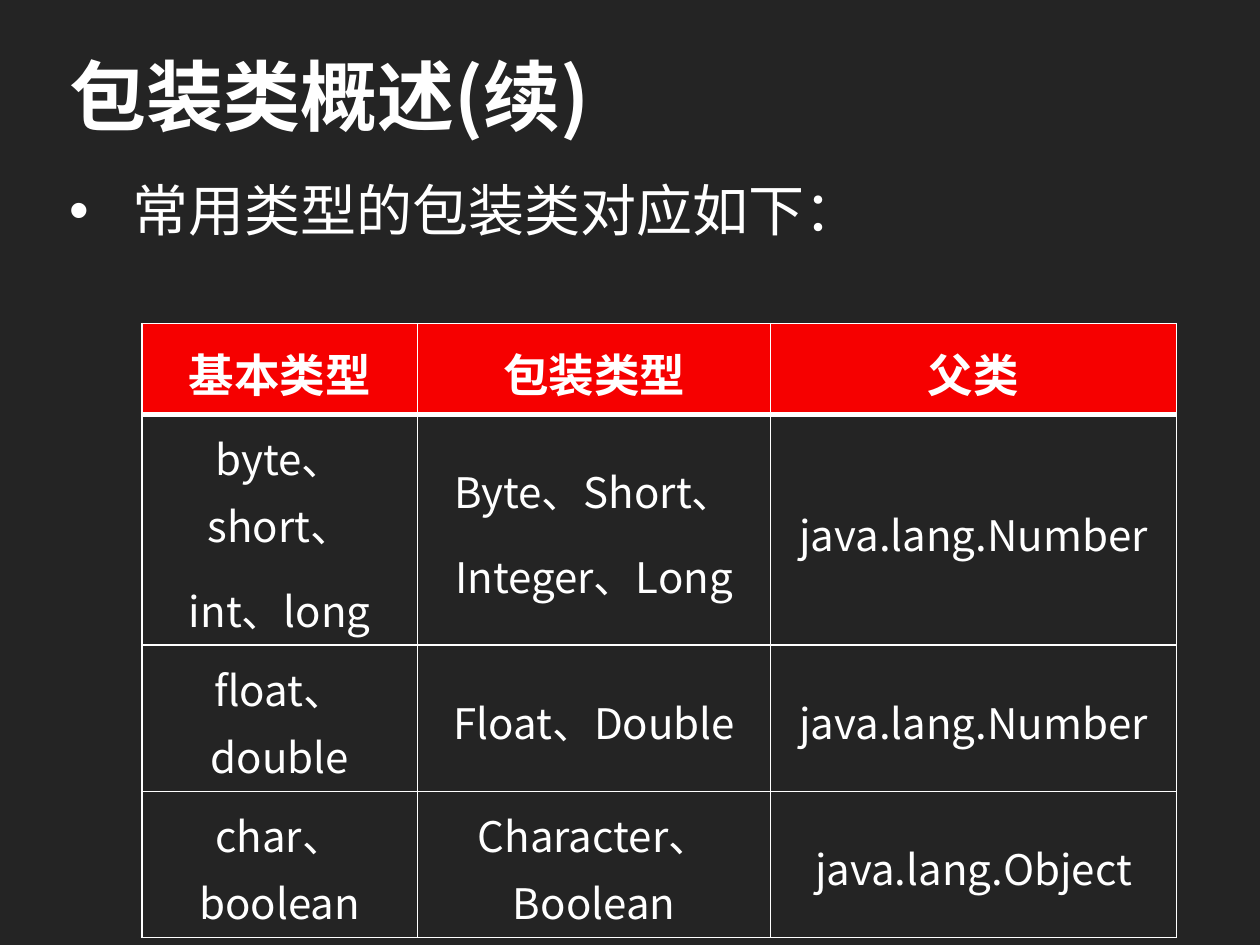
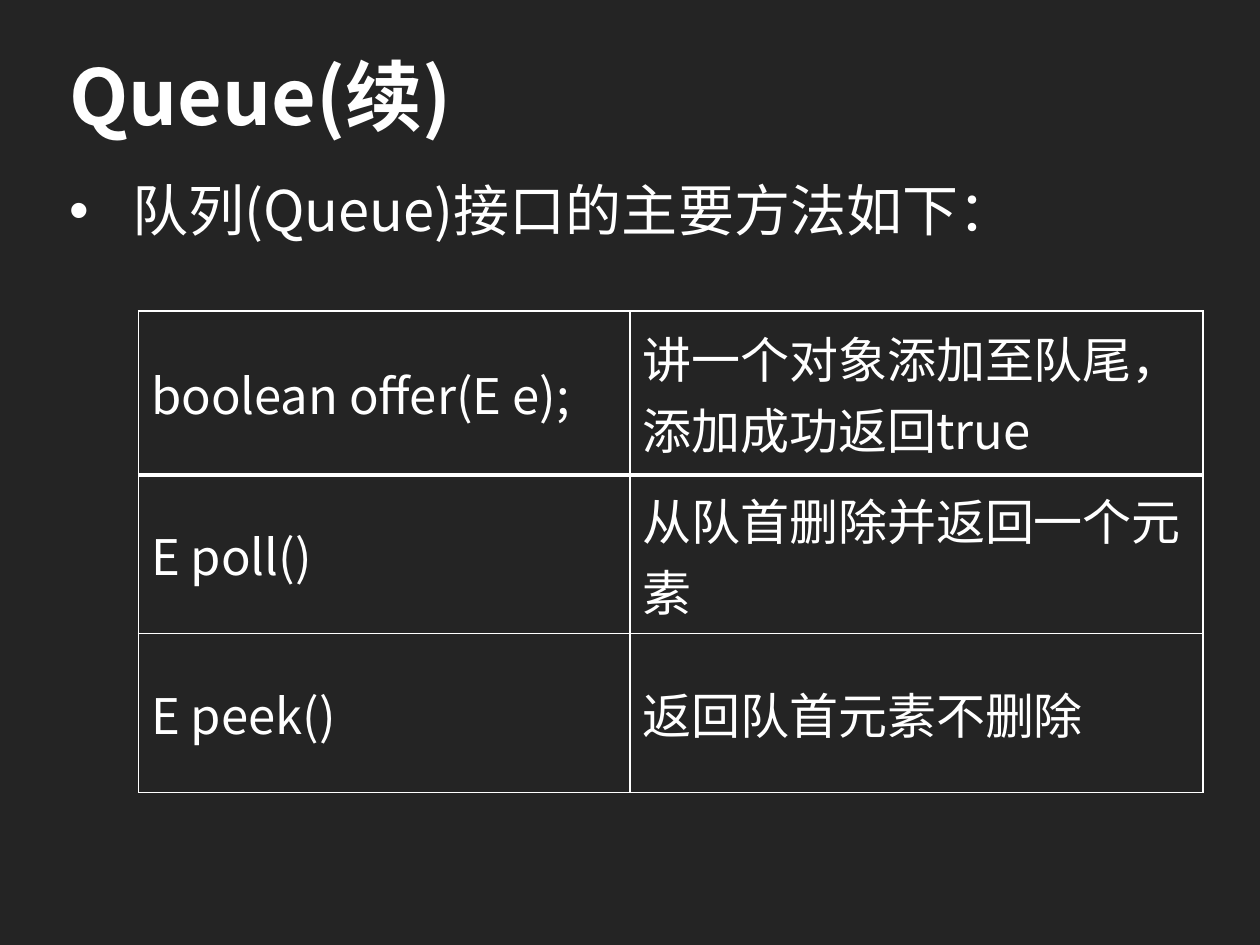
from lxml import etree
from pptx import Presentation
from pptx.dml.color import RGBColor
from pptx.enum import text
from pptx.oxml.ns import qn
from pptx.util import Pt

# Shared style
FONT = "Noto Sans CJK SC"
WHITE, DARK, RED = "FFFFFF", "242424", "F60000"
LEFT, WIDTH = 32.4, 655
THIN, THICK = 1, 3


def color(value):
    return RGBColor.from_string(value)


def write(tf, content, size, bold=False, align=text.PP_ALIGN.LEFT,
          spacing=None, before=0, bullet=None):
    """Write one paragraph per line of content."""
    tf.word_wrap = True
    for i, line in enumerate(content.split("\n")):
        p = tf.paragraphs[0] if i == 0 else tf.add_paragraph()
        if bullet:
            pPr = p._p.get_or_add_pPr()
            pPr.set("marL", str(Pt(36)))
            pPr.set("indent", str(-Pt(36)))
            etree.SubElement(pPr, qn("a:buFont"), typeface="Arial")
            etree.SubElement(pPr, qn("a:buChar"), char=bullet)
        p.alignment = align
        if spacing:
            p.line_spacing = spacing
        p.space_before = Pt(before if i else 0)
        r = p.add_run()
        r.text = line
        r.font.size, r.font.bold, r.font.name = Pt(size), bold, FONT
        r.font.color.rgb = color(WHITE)
        etree.SubElement(r._r.get_or_add_rPr(), qn("a:ea"), typeface=FONT)


def add_slide(prs, title, intro):
    s = prs.slides.add_slide(prs.slide_layouts[5])
    # Title
    sp = s.shapes.title
    sp.left, sp.top, sp.width, sp.height = Pt(LEFT), Pt(16.5), Pt(WIDTH), Pt(75)
    tf = sp.text_frame
    tf.auto_size = text.MSO_AUTO_SIZE.NONE
    tf.vertical_anchor = text.MSO_ANCHOR.MIDDLE
    write(tf, title, 44, bold=True)
    # Bulleted introduction
    box = s.shapes.add_textbox(Pt(LEFT), Pt(101), Pt(WIDTH), Pt(400))
    write(box.text_frame, intro, 32, spacing=0.9, bullet="•")
    return s


def set_borders(cell, top, bottom):
    tcPr = cell._tc.get_or_add_tcPr()
    for side, width in (("L", THIN), ("R", THIN), ("T", top), ("B", bottom)):
        ln = etree.SubElement(tcPr, qn(f"a:ln{side}"), w=str(Pt(width)))
        fill = etree.SubElement(ln, qn("a:solidFill"))
        etree.SubElement(fill, qn("a:srgbClr"), val=WHITE)


def add_table(s, left, top, widths, heights, rows, size, header_size=None,
              inset=7.2, **fmt):
    """Draw a white grid with a thick line under its first row."""
    table = s.shapes.add_table(len(rows), len(widths), Pt(left), Pt(top),
                               Pt(sum(widths)), Pt(sum(heights))).table
    table.first_row = table.horz_banding = False
    for column, width in zip(table.columns, widths):
        column.width = Pt(width)
    for i, (row, height) in enumerate(zip(rows, heights)):
        table.rows[i].height = Pt(height)
        header = header_size is not None and i == 0
        for j, content in enumerate(row):
            cell = table.cell(i, j)
            set_borders(cell, THICK if i == 1 else THIN,
                        THICK if i == 0 else THIN)
            if header:
                cell.fill.solid()
                cell.fill.fore_color.rgb = color(RED)
            else:
                cell.fill.background()
            cell.margin_left = cell.margin_right = Pt(inset)
            cell.vertical_anchor = text.MSO_ANCHOR.MIDDLE
            write(cell.text_frame, content, header_size if header else size,
                  bold=header, **fmt)


def main():
    prs = Presentation()
    prs.slide_width, prs.slide_height = Pt(720), Pt(540)
    background = prs.slide_master.background.fill
    background.solid()
    background.fore_color.rgb = color(DARK)

    # Wrapper classes: rows are tall enough for the wrapped type names
    s = add_slide(prs, "包装类概述(续)", "常用类型的包装类对应如下：")
    add_table(s, 81, 185, [157.7, 201.6, 232], [52, 131.6, 83.6, 83.6], [
        ["基本类型", "包装类型", "父类"],
        ["byte、short、\nint、long", "Byte、Short、\nInteger、Long",
         "java.lang.Number"],
        ["float、double", "Float、Double", "java.lang.Number"],
        ["char、boolean", "Character、Boolean", "java.lang.Object"],
    ], 24, header_size=26, inset=6.5, align=text.PP_ALIGN.CENTER,
        spacing=1.1, before=10.2)

    # Queue methods
    s = add_slide(prs, "Queue(续)", "队列(Queue)接口的主要方法如下：")
    add_table(s, 79.2, 177.8, [280.8, 327.4], [93.6, 90.7, 90.7], [
        ["boolean offer(E e);", "讲一个对象添加至队尾，添加成功返回true"],
        ["E poll()", "从队首删除并返回一个元素"],
        ["E peek()", "返回队首元素不删除"],
    ], 28)

    prs.save("out.pptx")


if __name__ == "__main__":
    main()
